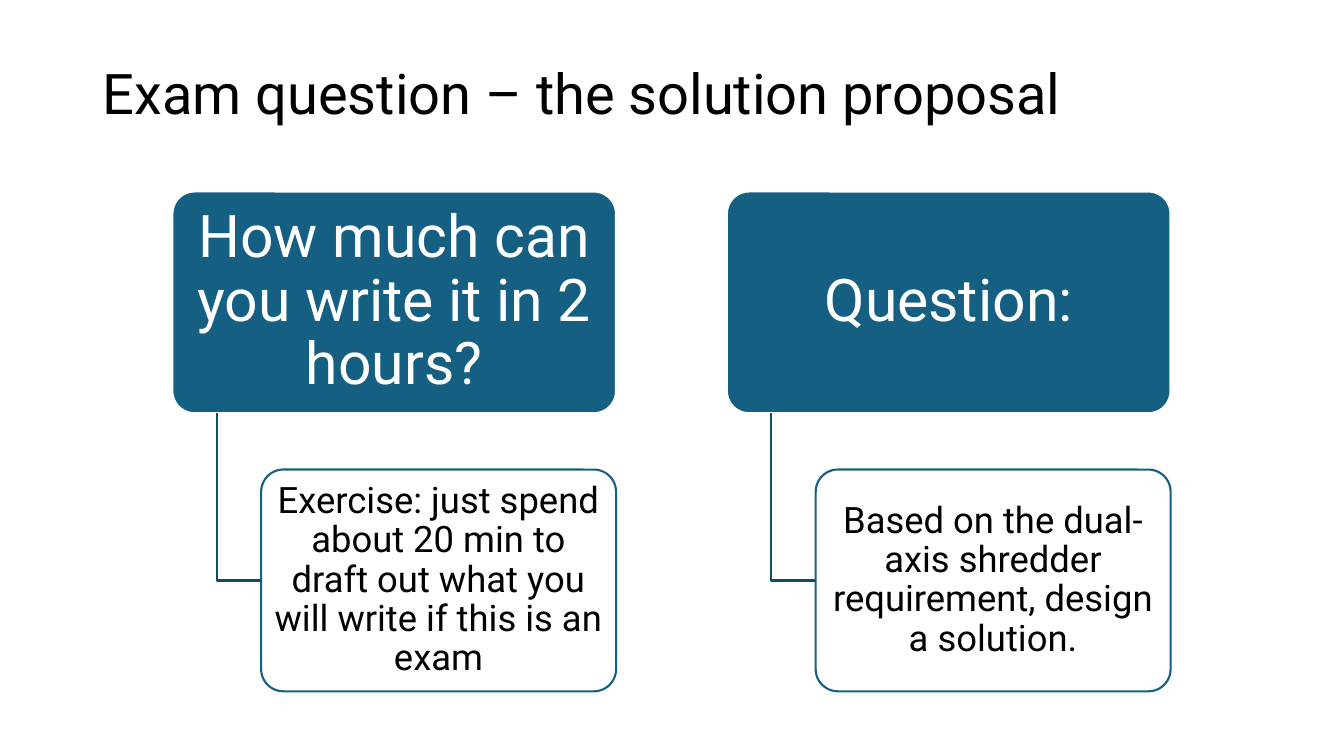
from dataclasses import dataclass

from lxml.etree import SubElement as Sub
from pptx import Presentation
from pptx.dml.color import RGBColor as Rgb
from pptx.enum.shapes import MSO_SHAPE as Kind
from pptx.enum.text import MSO_ANCHOR as Anchor, PP_ALIGN as Align
from pptx.oxml.ns import qn
from pptx.shapes.autoshape import Shape
from pptx.slide import Slide
from pptx.util import Inches, Pt

WIDE, HIGH = 13.33, 7.5
UNIT = 0.44
LEFT, TOP = 1.71, 1.9
STEP = 12.5
HEAD_W, BODY_W, BOX_H = 10, 8, 5
STEM_X, BODY_X, BODY_Y = 1, 2, 6.27
HUES = {"blue": "156082", "stem": "114D68", "white": "FFFFFF", "black": "000000"}


@dataclass(frozen=True)
class Topic:
    head: str
    body: str


TOPICS = [
    Topic("How much can you write it in 2 hours?",
          "Exercise: just spend about 20 min to draft out what you will write if this is an exam"),
    Topic("Question:",
          "Based on the dual-axis shredder requirement, design a solution."),
]


def hue(name: str) -> Rgb:
    return Rgb.from_string(HUES[name])


def col(n: float) -> int:
    return Inches(LEFT + n * UNIT)


def row(n: float) -> int:
    return Inches(TOP + n * UNIT)


def write(shape: Shape, text: str, *, size: float, tint: str = "black",
          align: Align = Align.CENTER, pad: tuple[float, float] = (0.1, 0.05)) -> None:
    frame = shape.text_frame
    frame.word_wrap = True
    frame.vertical_anchor = Anchor.MIDDLE
    frame.margin_left = frame.margin_right = Inches(pad[0])
    frame.margin_top = frame.margin_bottom = Inches(pad[1])
    para = frame.paragraphs[0]
    para.alignment = align
    para.line_spacing = 0.9
    run = para.add_run()
    run.text = text
    run.font.name = "Roboto"
    run.font.size = Pt(size)
    run.font.color.rgb = hue(tint)


def edge(shape: Shape, tint: str) -> None:
    shape.shadow.inherit = False
    shape.line.color.rgb = hue(tint)
    shape.line.width = Pt(1.5)


def card(slide: Slide, x: float, y: float, w: float, fill: str, line: str) -> Shape:
    box = slide.shapes.add_shape(Kind.ROUNDED_RECTANGLE, col(x), row(y),
                                 Inches(w * UNIT), Inches(BOX_H * UNIT))
    box.adjustments[0] = 0.1
    box.fill.solid()
    box.fill.fore_color.rgb = hue(fill)
    edge(box, line)
    return box


def fade(shape: Shape, share: int) -> None:
    tint = shape.fill._xPr.find(qn("a:solidFill"))[0]
    Sub(tint, qn("a:alpha")).set("val", str(share * 1000))


def stem(slide: Slide, x: float) -> None:
    turn = row(BODY_Y + BOX_H / 2)
    pen = slide.shapes.build_freeform(col(x + STEM_X), row(BOX_H))
    pen.add_line_segments([(col(x + STEM_X), turn), (col(x + BODY_X), turn)], close=False)
    path = pen.convert_to_shape()
    path.fill.background()
    edge(path, "stem")


def branch(slide: Slide, topic: Topic, x: float) -> None:
    head = card(slide, x, 0, HEAD_W, "blue", "white")
    write(head, topic.head, size=42, tint="white", pad=(0.09, 0.06))
    stem(slide, x)
    body = card(slide, x + BODY_X, BODY_Y, BODY_W, "white", "blue")
    fade(body, 90)
    write(body, topic.body, size=26, pad=(0.05, 0.04))


def main() -> None:
    deck = Presentation()
    deck.slide_width, deck.slide_height = Inches(WIDE), Inches(HIGH)
    slide = deck.slides.add_slide(deck.slide_layouts[6])
    title = slide.shapes.add_textbox(Inches(0.92), Inches(0.37), Inches(11.49), Inches(1.18))
    write(title, "Exam question – the solution proposal", size=40, align=Align.LEFT)
    for i, topic in enumerate(TOPICS):
        branch(slide, topic, i * STEP)
    deck.save("out.pptx")


if __name__ == "__main__":
    main()
